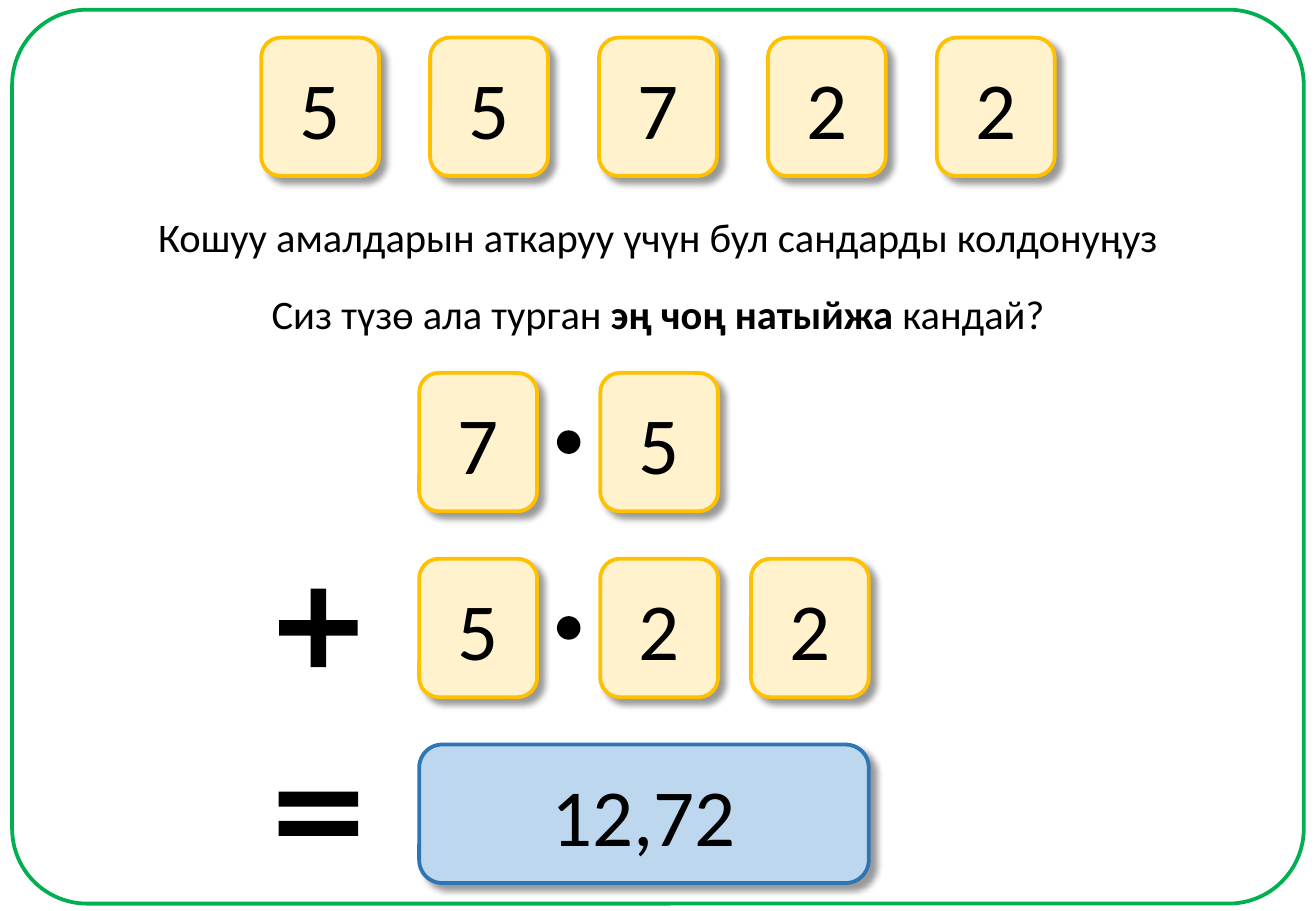
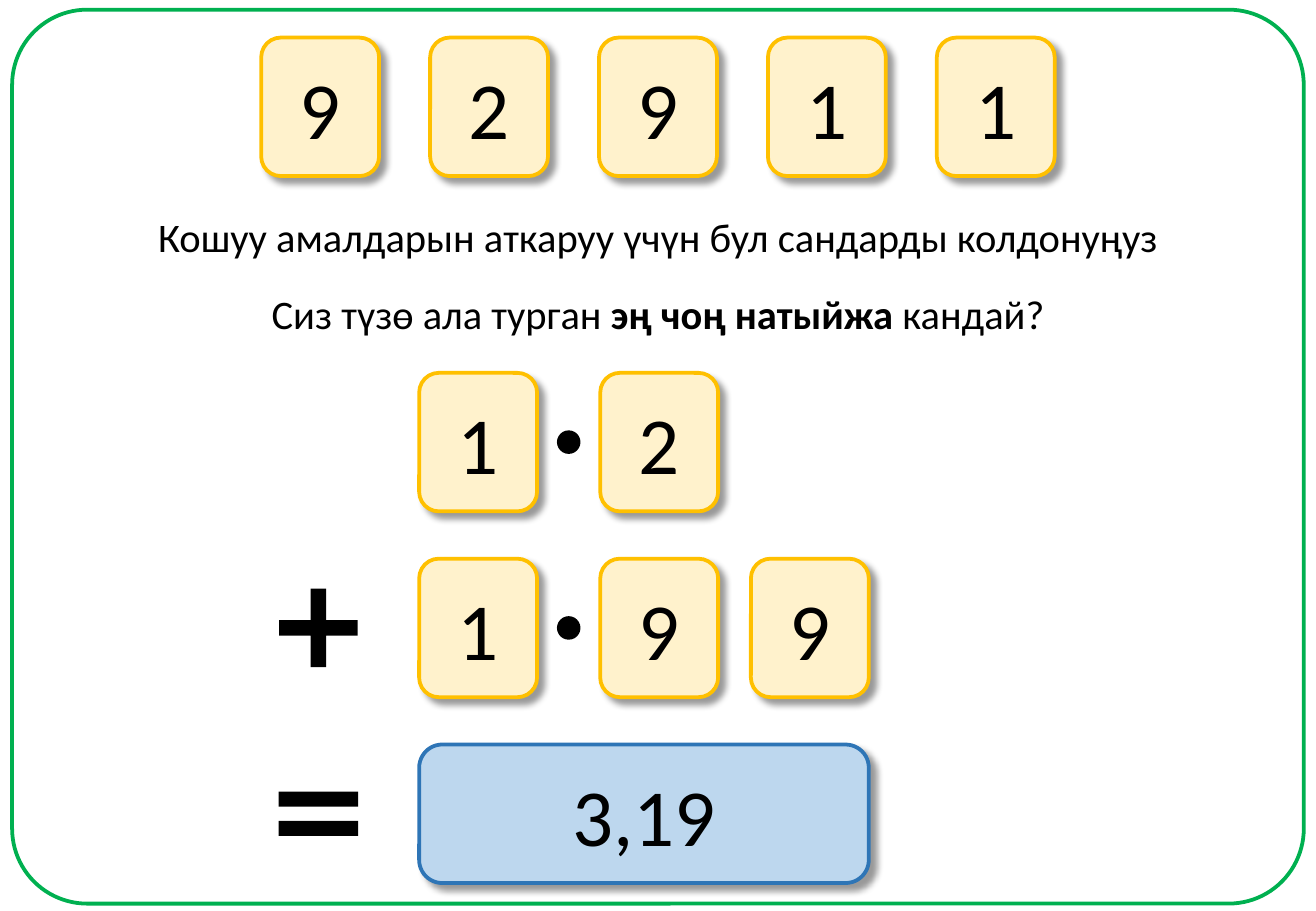
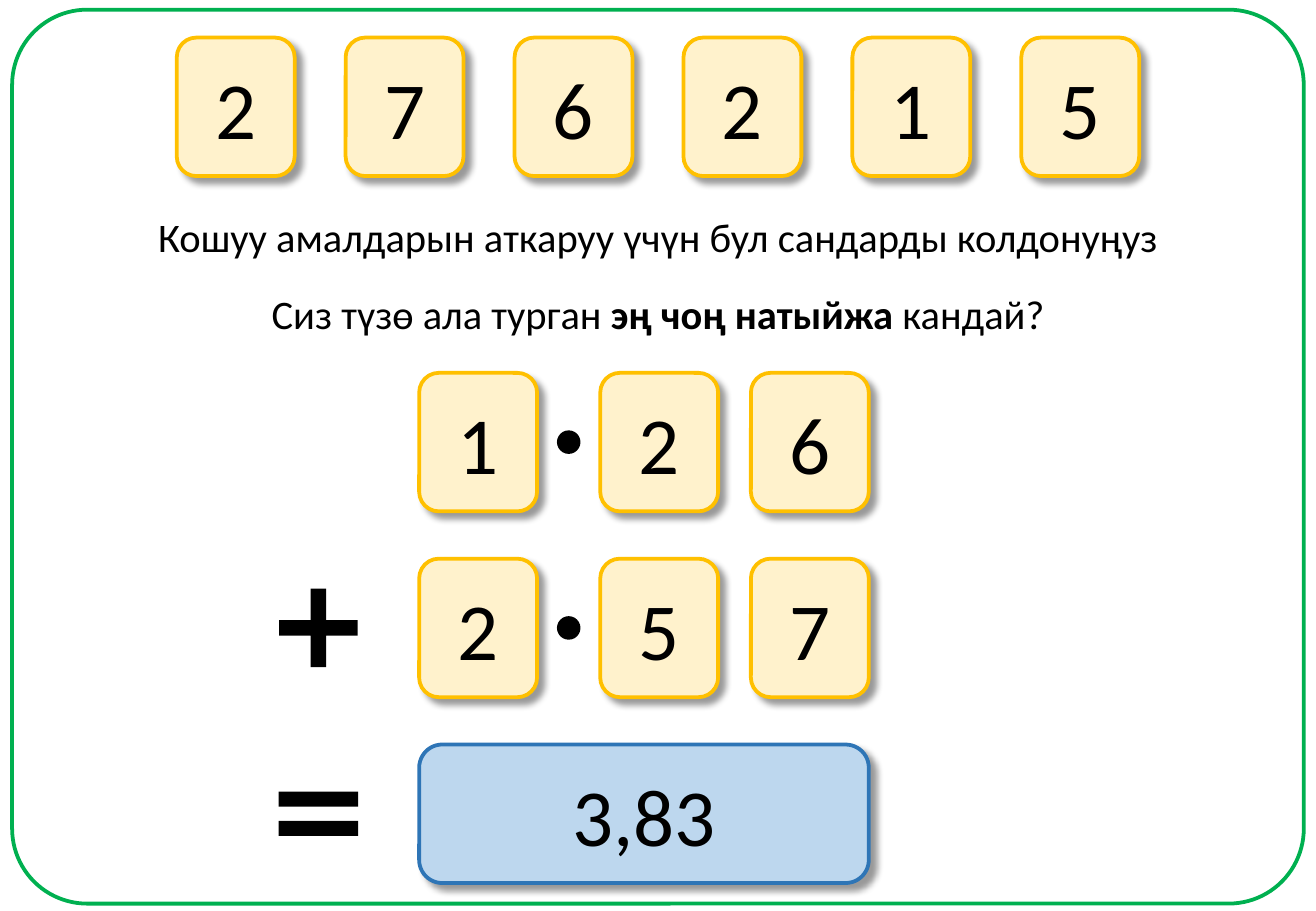
from lxml.etree import SubElement
from pptx import Presentation
from pptx.dml.color import RGBColor
from pptx.enum.shapes import MSO_SHAPE
from pptx.enum.text import MSO_ANCHOR, MSO_AUTO_SIZE, PP_ALIGN
from pptx.oxml.ns import qn
from pptx.util import Inches, Pt

# Content: digits to use, the two addends, the sum
PUZZLES = [
    ("55722", ("75", "522"), "12,72"),
    ("92911", ("12", "199"), "3,19"),
    ("276215", ("126", "257"), "3,83"),
]
# Each line of instructions: top, box width, runs (text, bold)
INSTRUCTIONS = [
    (1.7, 8.51, [("Кошуу амалдарын аткаруу үчүн бул сандарды колдонуңуз", False)]),
    (2.33, 6.62, [("Сиз түзө ала турган ", False), ("эң чоң натыйжа ", True),
                  ("кандай?", False)]),
]

# Shared style
BLACK, GREEN = "000000", "00B050"
CARD_STYLE = {"fill": "FFF2CC", "line": "FFC000", "shadow": True}
SUM_STYLE = {"fill": "BDD7EE", "line": "2E75B6", "shadow": True}
FONT, DIGIT_SIZE, TEXT_SIZE = "Calibri", 48, 24

# Layout in inches
SLIDE_W, SLIDE_H = 10.83, 7.5
CARD_W, CARD_H = 0.97, 1.14
TOP_Y, TOP_STEP = 0.31, 1.39
COLUMNS = (3.45, 4.94, 6.18)
ROWS = [3.07 + 1.53 * i for i in range(3)]
SUM_W = COLUMNS[-1] + CARD_W - COLUMNS[0]
DOT, DOT_X = 0.18, 4.59
SIGN_MID = 2.62


def rgb(value):
    return RGBColor.from_string(value)


def add_runs(tf, runs, size):
    p = tf.paragraphs[0]
    p.alignment = PP_ALIGN.CENTER
    for text, bold in runs:
        r = p.add_run()
        r.text = text
        for name, value in {"name": FONT, "size": Pt(size), "bold": bold}.items():
            setattr(r.font, name, value)
        r.font.color.rgb = rgb(BLACK)


def add_shadow(sp):
    effects = sp._element.spPr.find(qn("a:effectLst"))
    outer = SubElement(effects, qn("a:outerShdw"), blurRad=str(Pt(4)), dist=str(Pt(5)),
                       dir="2700000", algn="tl", rotWithShape="0")
    color = SubElement(outer, qn("a:srgbClr"), val=BLACK)
    SubElement(color, qn("a:alpha"), val="40000")


def add_box(s, kind, at, fill=None, line=None, width=2.25, adj=(), shadow=False, text=None):
    sp = s.shapes.add_shape(kind, *map(Inches, at))
    for i, value in enumerate(adj):
        sp.adjustments[i] = value
    if fill:
        sp.fill.solid()
        sp.fill.fore_color.rgb = rgb(fill)
    else:
        sp.fill.background()
    if line:
        sp.line.color.rgb = rgb(line)
        sp.line.width = Pt(width)
    else:
        sp.line.fill.background()
    sp.shadow.inherit = False
    if shadow:
        add_shadow(sp)
    if text:
        sp.text_frame.vertical_anchor = MSO_ANCHOR.MIDDLE
        add_runs(sp.text_frame, [(text, False)], DIGIT_SIZE)


def add_card(s, x, y, digit):
    add_box(s, MSO_SHAPE.ROUNDED_RECTANGLE, (x, y, CARD_W, CARD_H), text=digit, **CARD_STYLE)


def add_sign(s, kind, row, w, h, adj):
    y = ROWS[row] + (CARD_H - h) / 2
    add_box(s, kind, (SIGN_MID - w / 2, y, w, h), fill=BLACK, adj=adj)


def build_slide(prs, digits, addends, total):
    s = prs.slides.add_slide(prs.slide_layouts[6])
    add_box(s, MSO_SHAPE.ROUNDED_RECTANGLE, (0.1, 0.08, 10.63, 7.36), line=GREEN, adj=[0.084])

    # Digits to use, centred across the top
    left = (SLIDE_W - TOP_STEP * (len(digits) - 1) - CARD_W) / 2
    for i, digit in enumerate(digits):
        add_card(s, left + i * TOP_STEP, TOP_Y, digit)

    # Instructions
    for y, w, runs in INSTRUCTIONS:
        box = s.shapes.add_textbox(*map(Inches, ((SLIDE_W - w) / 2, y, w, 0.5)))
        tf = box.text_frame
        tf.word_wrap = False
        tf.auto_size = MSO_AUTO_SIZE.SHAPE_TO_FIT_TEXT
        add_runs(tf, runs, TEXT_SIZE)

    # Addends with their decimal points
    for y, addend in zip(ROWS, addends):
        for x, digit in zip(COLUMNS, addend):
            add_card(s, x, y, digit)
        add_box(s, MSO_SHAPE.OVAL, (DOT_X, y + (CARD_H - DOT) / 2, DOT, DOT),
                fill=BLACK, line=BLACK, width=1)

    # Signs and sum
    add_sign(s, MSO_SHAPE.MATH_PLUS, 1, 0.88, 0.88, [0.144])
    add_sign(s, MSO_SHAPE.MATH_EQUAL, 2, 0.89, 1, [0.123, 0.118])
    add_box(s, MSO_SHAPE.ROUNDED_RECTANGLE, (COLUMNS[0], ROWS[2], SUM_W, CARD_H),
            text=total, **SUM_STYLE)


def main():
    prs = Presentation()
    prs.slide_width, prs.slide_height = Inches(SLIDE_W), Inches(SLIDE_H)
    for puzzle in PUZZLES:
        build_slide(prs, *puzzle)
    prs.save("out.pptx")


if __name__ == "__main__":
    main()
